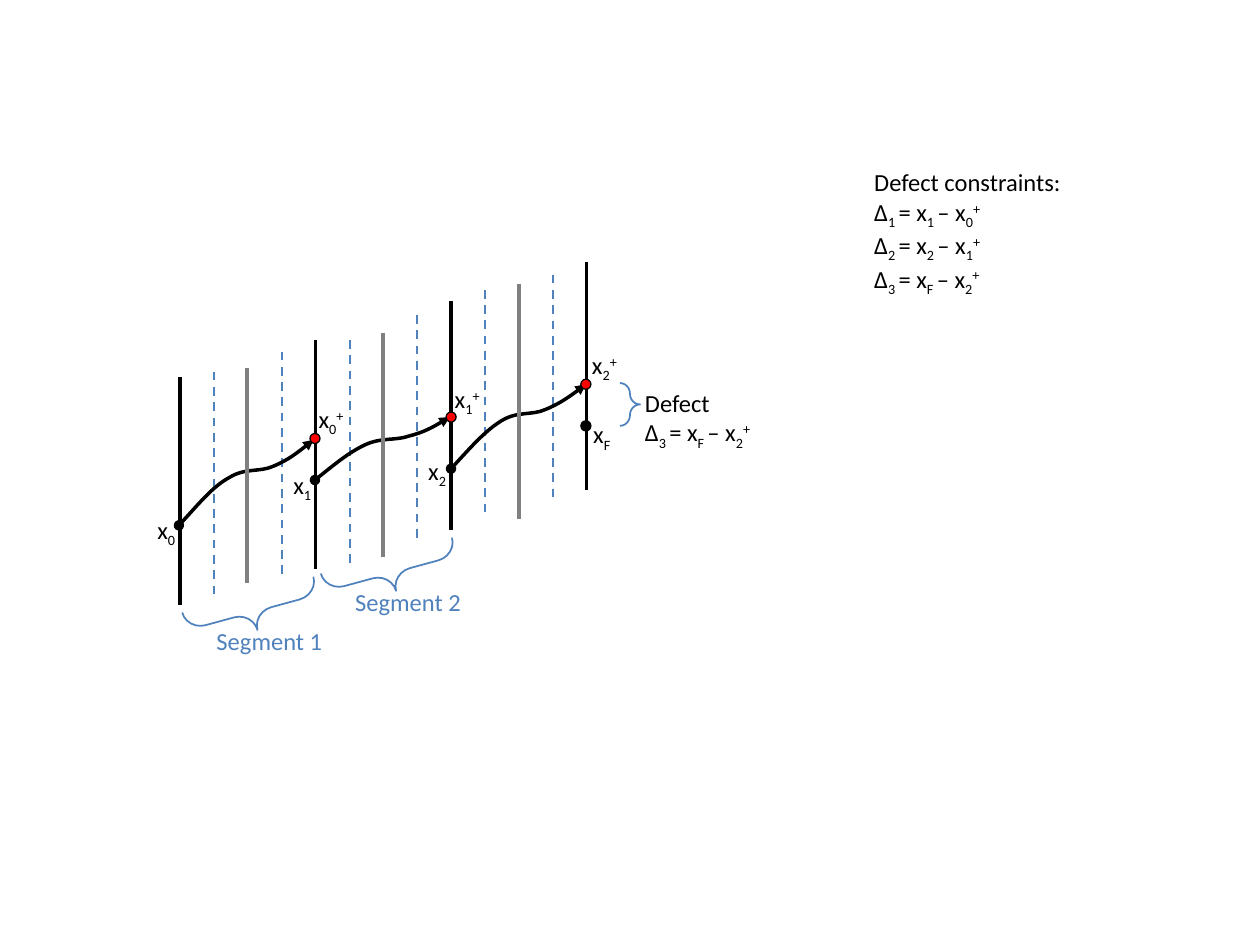
"""Draw a multiple shooting diagram with its defect constraints."""
from pptx import Presentation
from pptx.dml.color import RGBColor
from pptx.enum.dml import MSO_LINE
from pptx.enum.shapes import MSO_CONNECTOR, MSO_SHAPE
from pptx.enum.text import MSO_AUTO_SIZE
from pptx.oxml.ns import qn
from pptx.oxml.xmlchemy import OxmlElement
from pptx.util import Inches, Pt

HUES = {"black": "000000", "blue": "4F81BD", "gray": "808080", "red": "FF0000"}
SHIFT = {"_": "-25000", "^": "30000"}
STEP = 1.075
NODE = 1.43
DELTAS = [
    "Δ|_1 |= x|_1 |– x|_0|^+",
    "Δ|_2 |= x|_2 |– x|_1|^+",
    "Δ|_3 |= x|_F |– x|_2|^+",
]


def color(name):
    return RGBColor.from_string(HUES[name])


def stroke(line, hue, width):
    line.color.rgb = color(hue)
    line.width = Pt(width)


def add_text(slide, text, left, top, width, height, hue="black", size=14):
    box = slide.shapes.add_textbox(*map(Inches, (left, top, width, height)))
    frame = box.text_frame
    frame.word_wrap = True
    frame.auto_size = MSO_AUTO_SIZE.SHAPE_TO_FIT_TEXT
    for num, row in enumerate(text.split("\n")):
        para = frame.add_paragraph() if num else frame.paragraphs[0]
        for part in row.split("|"):
            run = para.add_run()
            run.text = part.lstrip("_^")
            run.font.name = "Calibri"
            run.font.size = Pt(size)
            run.font.color.rgb = color(hue)
            if part[0] in SHIFT:
                run.font._element.set("baseline", SHIFT[part[0]])


def add_line(slide, x, top, end, hue="black", width=2, dash=False):
    line = slide.shapes.add_connector(
        MSO_CONNECTOR.STRAIGHT, *map(Inches, (x, top, x, end)))
    stroke(line.line, hue, width)
    if dash:
        line.line.dash_style = MSO_LINE.DASH
    line._element.spPr.append(OxmlElement("a:effectLst"))


def add_curve(slide, start, points):
    build = slide.shapes.build_freeform(*map(Inches, start))
    build.add_line_segments(
        [(Inches(x), Inches(y)) for x, y in points], close=False)
    curve = build.convert_to_shape()
    curve.shadow.inherit = False
    curve.fill.background()
    stroke(curve.line, "black", 2)
    trace = next(curve._element.iter(qn("a:path")))
    legs = trace.findall(qn("a:lnTo"))
    for first in range(0, len(legs), 3):
        bend = OxmlElement("a:cubicBezTo")
        for leg in legs[first:first + 3]:
            bend.append(leg[0])
            trace.remove(leg)
        trace.append(bend)
    for tag, kind in (("a:headEnd", "oval"), ("a:tailEnd", "triangle")):
        end = OxmlElement(tag)
        end.set("type", kind)
        curve.line._get_or_add_ln().append(end)


def add_dot(slide, left, top, hue):
    dot = slide.shapes.add_shape(
        MSO_SHAPE.OVAL, *map(Inches, (left, top, 0.08, 0.08)))
    dot.shadow.inherit = False
    dot.fill.solid()
    dot.fill.fore_color.rgb = color(hue)
    stroke(dot.line, "black", 0.75)


def add_brace(slide, left, top, width, height, turn=0):
    brace = slide.shapes.add_shape(
        MSO_SHAPE.RIGHT_BRACE, *map(Inches, (left, top, width, height)))
    brace.shadow.inherit = False
    brace.adjustments[0] = 0.528
    brace.adjustments[1] = 0.5
    brace.rotation = turn
    brace.fill.background()
    stroke(brace.line, "blue", 1)


def draw_lines(slide):
    for num, (top, end) in enumerate(
            [(2.99, 4.8), (2.7, 4.52), (2.39, 4.21), (2.08, 3.89)]):
        add_line(slide, NODE + num * STEP, top, end)
    for num, top in enumerate([2.95, 2.79, 2.7, 2.5, 2.3, 2.18]):
        add_line(slide, 1.7 + num * STEP / 2, top, top + 1.77,
                 "blue", 1.25, True)


def draw_curves(slide):
    across = [0.14, 0.27, 0.4, 0.53, 0.64, 0.75, 0.87, 1.01, 1.07]
    rows = [
        (1.42, 4.17, [4.02, 3.86, 3.79, 3.71, 3.75, 3.7, 3.65, 3.54, 3.49]),
        (2.5, 3.81, [3.7, 3.59, 3.53, 3.47, 3.5, 3.46, 3.43, 3.35, 3.31]),
        (3.58, 3.72, [3.57, 3.42, 3.34, 3.26, 3.3, 3.25, 3.2, 3.1, 3.05]),
    ]
    for x, y, downs in rows:
        add_curve(slide, (x, y), [(x + dx, down)
                                  for dx, down in zip(across, downs)])


def draw_states(slide):
    for text, left, top in [
            ("x|_0", 1.15, 4.04), ("x|_1", 2.23, 3.68),
            ("x|_2", 3.3, 3.57), ("x|_F", 4.61, 3.28),
            ("x|_0|^+", 2.43, 3.16), ("x|_1|^+", 3.51, 3),
            ("x|_2|^+", 4.6, 2.73)]:
        add_text(slide, text, left, top, 0.47, 0.34)
    for left, top, hue in [(4.61, 3.34, "black"), (4.61, 3.01, "red"),
                           (3.54, 3.27, "red"), (2.46, 3.44, "red")]:
        add_dot(slide, left, top, hue)


def draw_parts(slide):
    for num, (top, end) in enumerate(
            [(2.92, 4.63), (2.64, 4.42), (2.25, 4.12)]):
        add_line(slide, 1.96 + num * 1.08, top, end, "gray")
    for num in range(2):
        right, rise = num * 1.1, num * 0.31
        add_brace(slide, 1.86 + right, 4.32 - rise, 0.29, 1.08, 74.7)
        add_text(slide, f"Segment {num + 1}", 1.62 + right, 4.92 - rise,
                 2.7, 0.34, hue="blue")


def main():
    deck = Presentation()
    deck.slide_width, deck.slide_height = Inches(10), Inches(7.5)
    slide = deck.slides.add_slide(deck.slide_layouts[6])
    draw_lines(slide)
    draw_curves(slide)
    draw_states(slide)
    add_text(slide, "\n".join(["Defect constraints:"] + DELTAS),
             6.84, 1.28, 2.13, 1.04)
    draw_parts(slide)
    add_brace(slide, 4.92, 3.04, 0.16, 0.34)
    add_text(slide, "Defect\n" + DELTAS[2], 5.02, 3.03, 1.22, 0.81)
    deck.save("out.pptx")


main()
